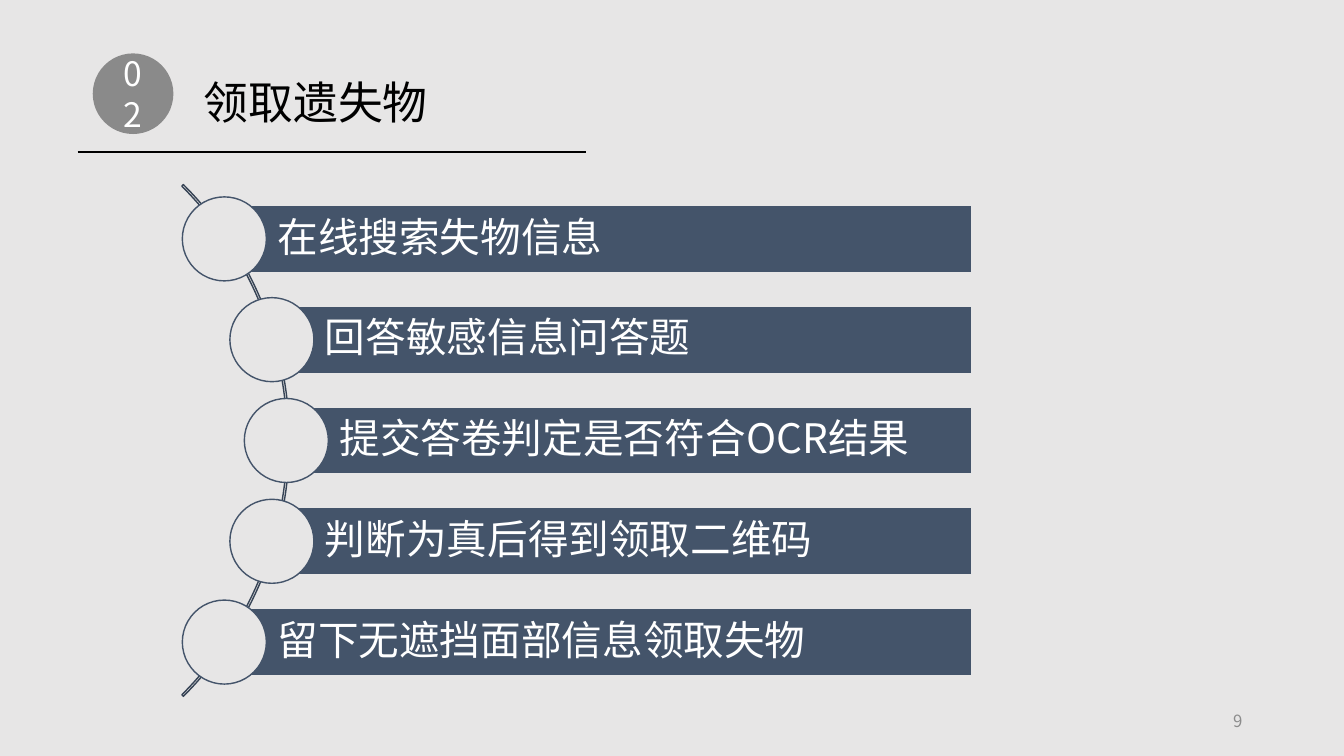
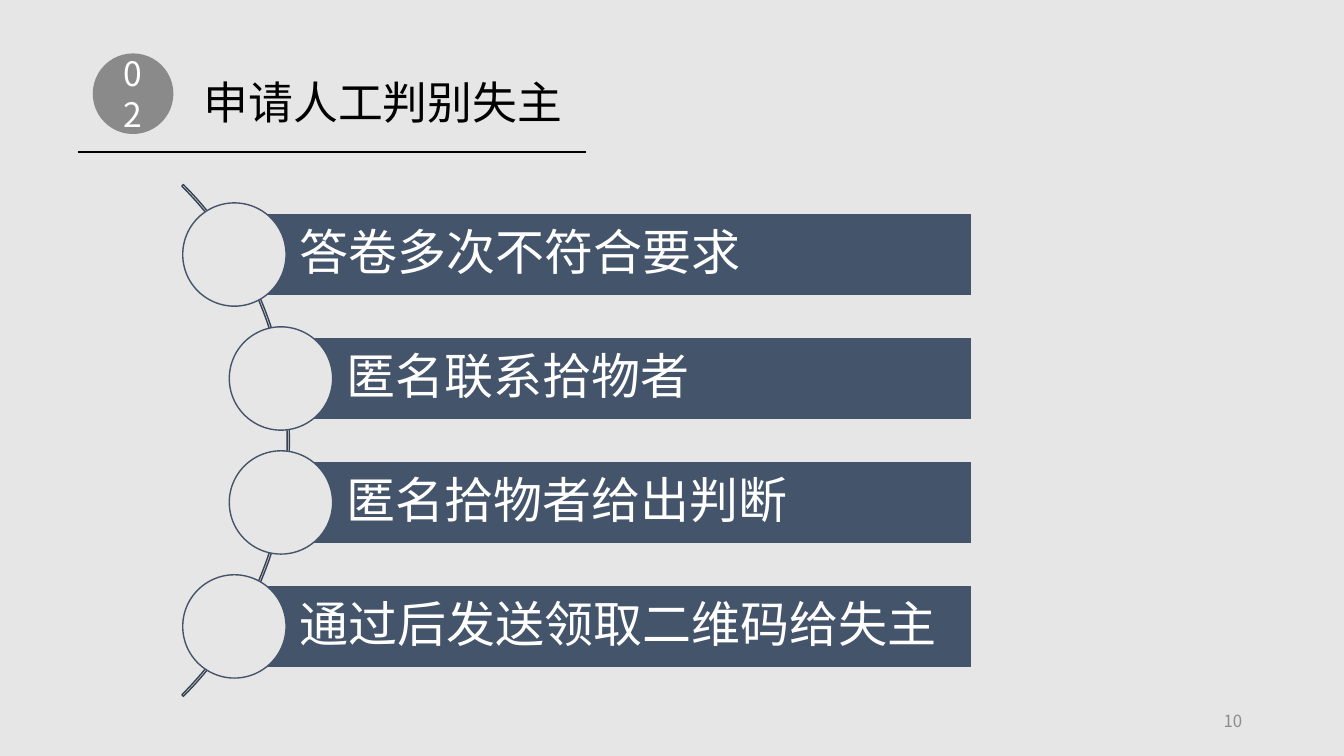
from dataclasses import dataclass
from math import sqrt

from pptx import Presentation
from pptx.dml.color import RGBColor
from pptx.enum.shapes import MSO_CONNECTOR, MSO_SHAPE
from pptx.enum.text import MSO_ANCHOR, PP_ALIGN
from pptx.oxml.ns import qn
from pptx.util import Inches, Pt
from lxml.etree import SubElement


@dataclass(frozen=True)
class Theme:
    font: str = "Noto Sans CJK SC"
    paper: RGBColor = RGBColor(0xE7, 0xE6, 0xE6)
    ink: RGBColor = RGBColor(0, 0, 0)
    white: RGBColor = RGBColor(0xFF, 0xFF, 0xFF)
    slate: RGBColor = RGBColor(0x44, 0x54, 0x6A)
    arc: RGBColor = RGBColor(0x36, 0x43, 0x55)
    grey: RGBColor = RGBColor(0x8C, 0x8C, 0x8C)
    title_size: int = 32
    badge_size: int = 24
    number_size: int = 12


theme = Theme()


def write(shape, text, size, color, align=PP_ALIGN.LEFT, anchor=MSO_ANCHOR.MIDDLE):
    frame = shape.text_frame
    frame.word_wrap = True
    frame.vertical_anchor = anchor
    frame.text = text
    paragraph = frame.paragraphs[0]
    paragraph.alignment = align
    paragraph.font.size = Pt(size)
    paragraph.font.color.rgb = color
    paragraph.font.name = theme.font
    defaults = paragraph._p.pPr.find(qn("a:defRPr"))
    SubElement(defaults, qn("a:ea")).set("typeface", theme.font)
    return frame


def draw(slide, kind, left, top, width, height, fill=None, line=None):
    shape = slide.shapes.add_shape(
        kind, Inches(left), Inches(top), Inches(width), Inches(height))
    shape.shadow.inherit = False
    if fill is None:
        shape.fill.background()
    else:
        shape.fill.solid()
        shape.fill.fore_color.rgb = fill
    if line is None:
        shape.line.fill.background()
    else:
        shape.line.color.rgb = line
        shape.line.width = Pt(1)
    return shape


SLIDES = [
    (9, "领取遗失物", 1.0, 29, [
        "在线搜索失物信息",
        "回答敏感信息问答题",
        "提交答卷判定是否符合OCR结果",
        "判断为真后得到领取二维码",
        "留下无遮挡面部信息领取失物",
    ]),
    (10, "申请人工判别失主", 1.23, 35, [
        "答卷多次不符合要求",
        "匿名联系拾物者",
        "匿名拾物者给出判断",
        "通过后发送领取二维码给失主",
    ]),
]
ARC_X, ARC_Y, ARC_SIZE = -0.72, 4.37, 7.18
ORBIT = 3.56
BAR_RIGHT = 9.64

prs = Presentation()
prs.slide_width, prs.slide_height = Inches(13.33), Inches(7.5)
background = prs.slide_master.background.fill
background.solid()
background.fore_color.rgb = theme.paper

for number, heading, pitch, step_size, steps in SLIDES:
    slide = prs.slides.add_slide(prs.slide_layouts[5])

    title = slide.shapes.title
    title.left, title.top = Inches(1.92), Inches(0.69)
    title.width, title.height = Inches(6), Inches(0.64)
    write(title, heading, theme.title_size, theme.ink, anchor=MSO_ANCHOR.TOP)

    badge = draw(slide, MSO_SHAPE.OVAL, 0.92, 0.53, 0.8, 0.8, theme.ink)
    badge_color = badge.fill._xPr.find(qn("a:solidFill"))[0]
    SubElement(badge_color, qn("a:alpha")).set("val", "40000")
    write(badge, "02", theme.badge_size, theme.white, PP_ALIGN.CENTER)

    rule = slide.shapes.add_connector(
        MSO_CONNECTOR.STRAIGHT, Inches(0.77), Inches(1.51), Inches(5.81), Inches(1.51))
    rule.line.color.rgb = theme.ink
    rule.line.width = Pt(1)
    SubElement(rule._element.spPr, qn("a:effectLst"))

    arc = draw(slide, MSO_SHAPE.BLOCK_ARC, ARC_X - ARC_SIZE / 2, ARC_Y - ARC_SIZE / 2,
               ARC_SIZE, ARC_SIZE, line=theme.arc)
    for index, value in enumerate((189, 27, 0.003)):
        arc.adjustments[index] = value

    bar_height = pitch * 2 / 3
    diameter = bar_height * 1.25
    for index, step in enumerate(steps):
        offset = (index - (len(steps) - 1) / 2) * pitch
        x = ARC_X + sqrt(ORBIT ** 2 - offset ** 2)
        y = ARC_Y + offset
        bar = draw(slide, MSO_SHAPE.RECTANGLE, x, y - bar_height / 2,
                   BAR_RIGHT - x, bar_height, theme.slate, theme.paper)
        frame = write(bar, step, step_size, theme.white)
        frame.paragraphs[0].line_spacing = 0.9
        frame.margin_left = Inches(bar_height * 0.79)
        frame.margin_top = frame.margin_right = frame.margin_bottom = Inches(bar_height * 0.12)
        draw(slide, MSO_SHAPE.OVAL, x - diameter / 2, y - diameter / 2,
             diameter, diameter, theme.paper, theme.slate)

    page_number = slide.shapes.add_textbox(Inches(9.42), Inches(6.95), Inches(3), Inches(0.4))
    write(page_number, str(number), theme.number_size, theme.grey, PP_ALIGN.RIGHT)

prs.save("out.pptx")
